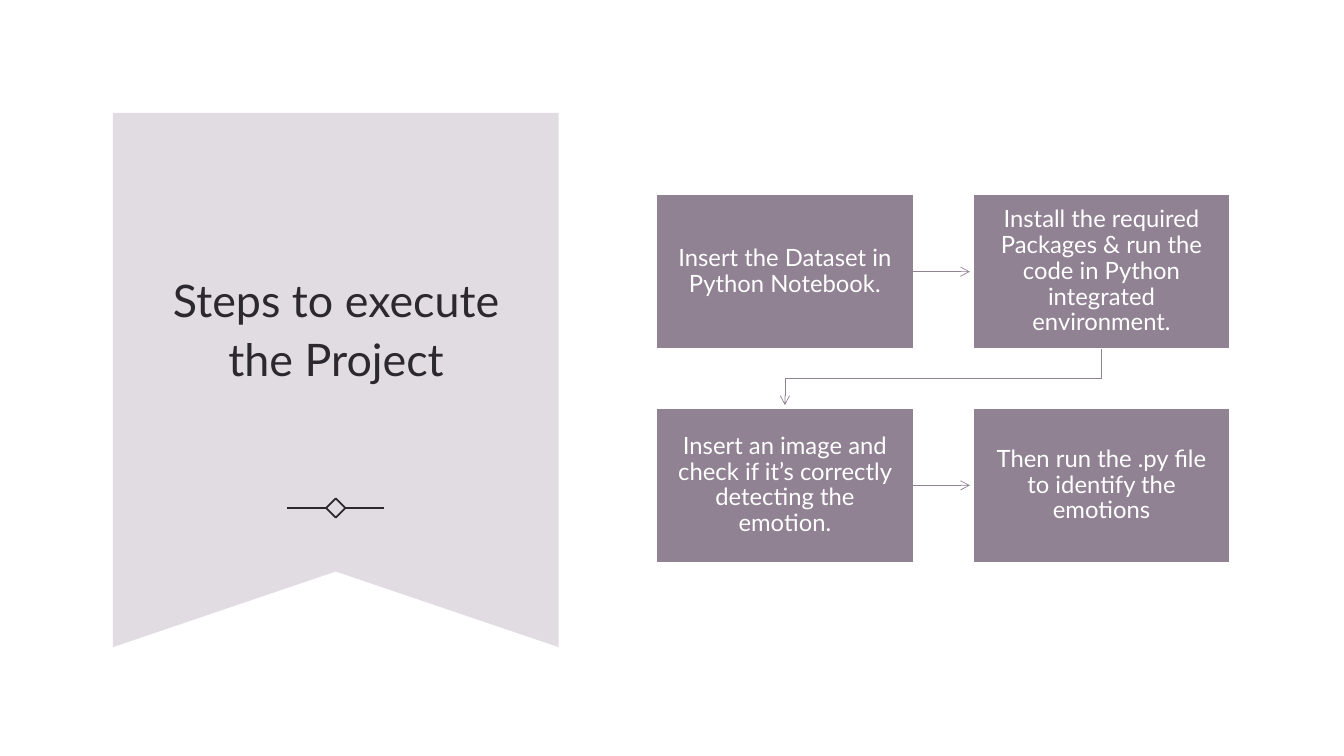
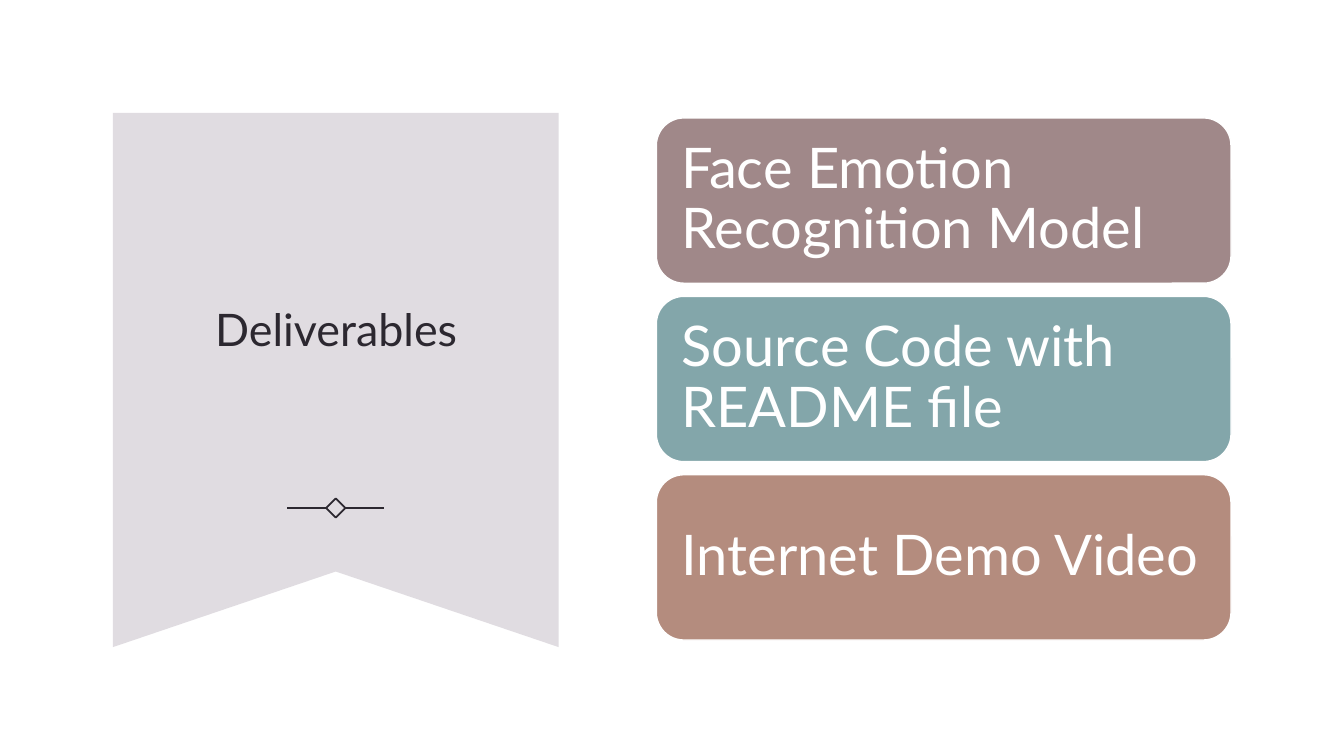
from lxml import etree
from pptx import Presentation
from pptx.dml.color import RGBColor
from pptx.enum.shapes import MSO_CONNECTOR, MSO_SHAPE
from pptx.enum.text import MSO_ANCHOR, MSO_AUTO_SIZE, PP_ALIGN
from pptx.oxml.ns import qn
from pptx.util import Inches, Pt

STRAIGHT = MSO_CONNECTOR.STRAIGHT
RECTANGLE, ROUNDED, DIAMOND = MSO_SHAPE.RECTANGLE, MSO_SHAPE.ROUNDED_RECTANGLE, MSO_SHAPE.DIAMOND
MIDDLE, NO_AUTOFIT = MSO_ANCHOR.MIDDLE, MSO_AUTO_SIZE.NONE
LEFT, CENTER = PP_ALIGN.LEFT, PP_ALIGN.CENTER

FONT = "Lato"
INK, WHITE, PALE, MAUVE = "2C2830", "FFFFFF", "E0DCE1", "908193"

# Ribbon and ornament
RIBBON_LEFT, RIBBON_TOP, RIBBON_WIDTH, RIBBON_HEIGHT = 1.12, 1.12, 4.42, 5.3
NOTCH = 0.75
RIBBON_CENTER = RIBBON_LEFT + RIBBON_WIDTH / 2
ORNAMENT_Y, ORNAMENT_REACH, DIAMOND_SIZE = 5.04, 0.48, 0.19

# Content area, shared by both slides
CONTENT_LEFT, CONTENT_WIDTH = 6.51, 5.7
STEP_TOP, STEP_WIDTH, STEP_HEIGHT, STEP_GAP = 1.93, 2.55, 1.53, 0.59
CARD_TOP, CARD_HEIGHT, CARD_PITCH = 1.17, 1.64, 1.77
ARROW_REACH = 0.56

STEPS = [
    "Insert the Dataset in Python Notebook.",
    "Install the required Packages & run the code in Python integrated environment.",
    "Insert an image and check if it’s correctly detecting the emotion.",
    "Then run the .py file to identify the emotions",
]
DELIVERABLES = [
    ("Face Emotion Recognition Model", "A08889"),
    ("Source Code with README file", "83A6AA"),
    ("Internet Demo Video", "B48C7E"),
]


def paint(shape, fill=None, line=None, width=1, arrow=False):
    """Set fill, line and arrowhead of a shape or connector, without shadow."""
    if hasattr(shape, "fill"):
        if fill:
            shape.fill.solid()
            shape.fill.fore_color.rgb = RGBColor.from_string(fill)
        else:
            shape.fill.background()
    if line:
        shape.line.color.rgb = RGBColor.from_string(line)
        shape.line.width = Pt(width)
    else:
        shape.line.fill.background()
    properties = shape.element.spPr
    if arrow:
        etree.SubElement(properties.find(qn("a:ln")), qn("a:tailEnd"), type="arrow")
    etree.SubElement(properties, qn("a:effectLst"))


def write(shape, text, size, color, align, spacing, inset):
    """Write one middle-anchored paragraph into a shape."""
    frame = shape.text_frame
    frame.word_wrap = True
    frame.auto_size = NO_AUTOFIT
    frame.vertical_anchor = MIDDLE
    frame.margin_left = frame.margin_right = Inches(inset)
    frame.margin_top = frame.margin_bottom = Inches(inset)
    paragraph = frame.paragraphs[0]
    paragraph.alignment = align
    paragraph.line_spacing = spacing
    run = paragraph.add_run()
    run.text = text
    run.font.name = FONT
    run.font.size = Pt(size)
    run.font.color.rgb = RGBColor.from_string(color)


presentation = Presentation()
presentation.slide_width, presentation.slide_height = Inches(13.33), Inches(7.5)
title_only = presentation.slide_layouts[5]

# Both slides: title on a ribbon with an ornament
slides = []
for heading in ("Steps to execute the Project", "Deliverables"):
    slide = presentation.slides.add_slide(title_only)
    slides.append(slide)
    title = slide.shapes.title
    title.left, title.top = Inches(1.56), Inches(1.81)
    title.width, title.height = Inches(3.55), Inches(2.85)
    write(title, heading, 32, INK, CENTER, 1.1, 0.1)

    right, bottom = RIBBON_LEFT + RIBBON_WIDTH, RIBBON_TOP + RIBBON_HEIGHT
    outline = slide.shapes.build_freeform(Inches(RIBBON_LEFT), Inches(RIBBON_TOP))
    outline.add_line_segments([
        (Inches(x), Inches(y))
        for x, y in ((right, RIBBON_TOP), (right, bottom),
                     (RIBBON_CENTER, bottom - NOTCH), (RIBBON_LEFT, bottom))
    ])
    ribbon = outline.convert_to_shape()
    paint(ribbon, PALE)
    title.element.addprevious(ribbon.element)

    diamond = slide.shapes.add_shape(
        DIAMOND, Inches(RIBBON_CENTER - DIAMOND_SIZE / 2),
        Inches(ORNAMENT_Y - DIAMOND_SIZE / 2), Inches(DIAMOND_SIZE), Inches(DIAMOND_SIZE))
    paint(diamond, line=INK, width=1.25)
    for side in (-1, 1):
        stroke = slide.shapes.add_connector(
            STRAIGHT, Inches(RIBBON_CENTER + side * DIAMOND_SIZE / 2), Inches(ORNAMENT_Y),
            Inches(RIBBON_CENTER + side * ORNAMENT_REACH), Inches(ORNAMENT_Y))
        paint(stroke, line=INK, width=1.25)

steps_slide, deliverables_slide = slides

# Steps: two by two boxes, an arrow along each row
for index, text in enumerate(STEPS):
    row, column = divmod(index, 2)
    left = CONTENT_LEFT + column * (STEP_WIDTH + STEP_GAP)
    top = STEP_TOP + row * (STEP_HEIGHT + STEP_GAP)
    box = steps_slide.shapes.add_shape(
        RECTANGLE, Inches(left), Inches(top), Inches(STEP_WIDTH), Inches(STEP_HEIGHT))
    paint(box, MAUVE, WHITE)
    write(box, text, 17, WHITE, CENTER, 0.9, 0.13)
    if column == 0:
        start, middle = left + STEP_WIDTH, top + STEP_HEIGHT / 2
        arrow = steps_slide.shapes.add_connector(
            STRAIGHT, Inches(start), Inches(middle),
            Inches(start + ARROW_REACH), Inches(middle))
        paint(arrow, line=MAUVE, width=0.5, arrow=True)

# Bent arrow from the second step down to the third
first_center = CONTENT_LEFT + STEP_WIDTH / 2
second_center = first_center + STEP_WIDTH + STEP_GAP
row_bottom = STEP_TOP + STEP_HEIGHT
bend = row_bottom + STEP_GAP / 2
route = steps_slide.shapes.build_freeform(Inches(second_center), Inches(row_bottom))
route.add_line_segments([
    (Inches(x), Inches(y))
    for x, y in ((second_center, bend), (first_center, bend),
                 (first_center, row_bottom + ARROW_REACH))
], close=False)
paint(route.convert_to_shape(), line=MAUVE, width=0.5, arrow=True)

# Deliverables: a stack of rounded cards
for index, (text, color) in enumerate(DELIVERABLES):
    card = deliverables_slide.shapes.add_shape(
        ROUNDED, Inches(CONTENT_LEFT), Inches(CARD_TOP + index * CARD_PITCH),
        Inches(CONTENT_WIDTH), Inches(CARD_HEIGHT))
    paint(card, color, WHITE)
    write(card, text, 40, WHITE, LEFT, 0.9, 0.17)

presentation.save("out.pptx")
